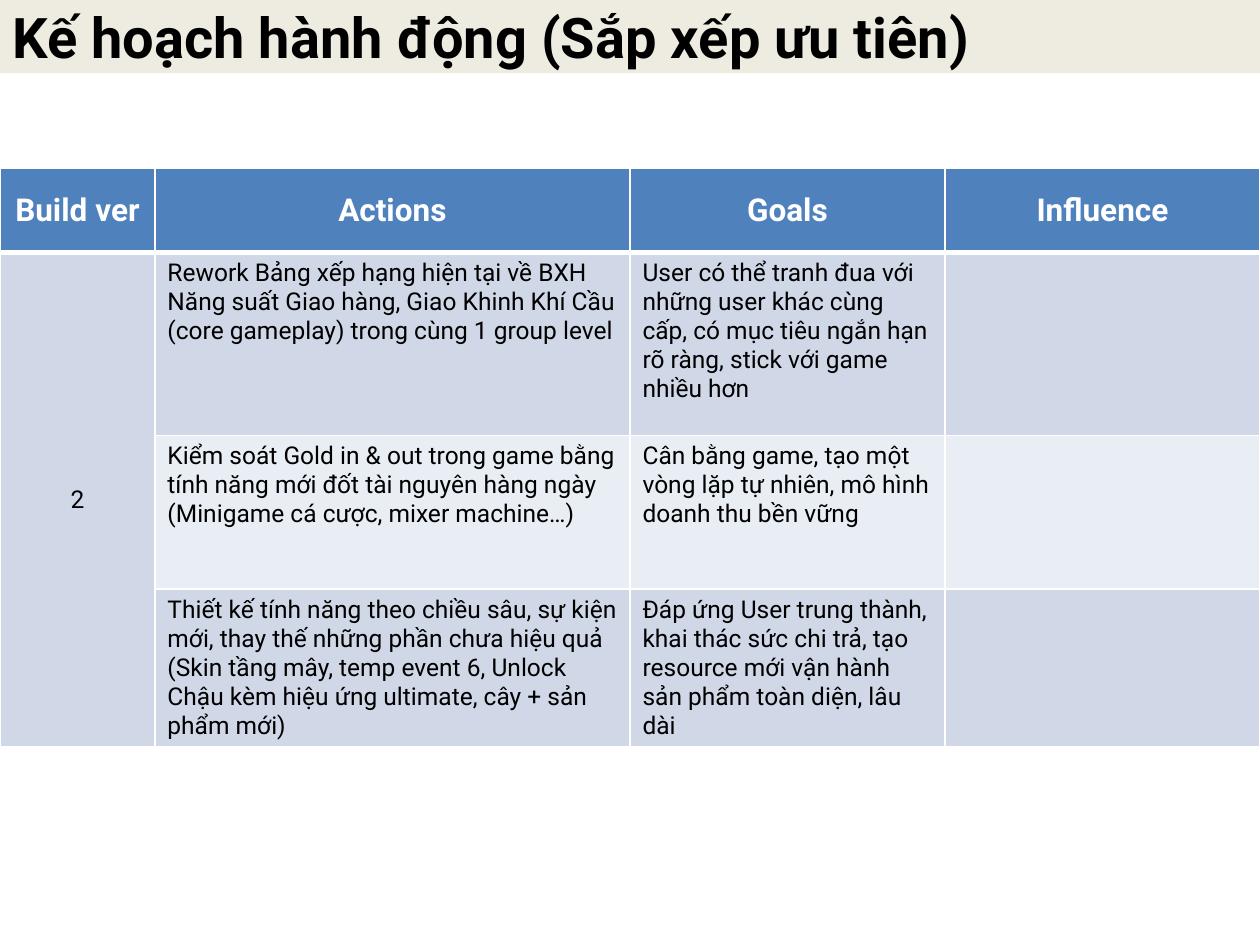
from dataclasses import dataclass

from lxml.etree import SubElement
from pptx import Presentation
from pptx.dml.color import RGBColor
from pptx.enum.shapes import MSO_SHAPE
from pptx.enum.text import MSO_ANCHOR, PP_ALIGN
from pptx.oxml.ns import qn
from pptx.util import Pt


@dataclass(frozen=True)
class Theme:
    font: str = "Roboto"
    ink: str = "000000"
    paper: str = "FFFFFF"
    title_band: str = "EEECE1"
    header: str = "4F81BD"
    bands: tuple = ("D0D8E8", "E9EDF4")
    title_size: int = 32
    header_size: int = 18
    body_size: int = 14
    rule: int = 1
    header_rule: int = 3


class SlideBuilder:
    def __init__(self, slide, theme):
        self.slide = slide
        self.theme = theme

    def set_text(self, frame, text, size, color, bold=False, align=PP_ALIGN.LEFT):
        frame.text = text
        frame.word_wrap = True
        for paragraph in frame.paragraphs:
            paragraph.alignment = align
            for run in paragraph.runs:
                run.font.name = self.theme.font
                run.font.size = Pt(size)
                run.font.bold = bold
                run.font.color.rgb = RGBColor.from_string(color)

    def title(self, text, width, height):
        band = self.slide.shapes.add_shape(MSO_SHAPE.RECTANGLE, 0, 0, Pt(width), Pt(height))
        band.shadow.inherit = False
        band.fill.solid()
        band.fill.fore_color.rgb = RGBColor.from_string(self.theme.title_band)
        band.line.fill.background()
        band.text_frame.vertical_anchor = MSO_ANCHOR.MIDDLE
        self.set_text(band.text_frame, text, self.theme.title_size, self.theme.ink, bold=True)

    def paint(self, cell, color, top, bottom):
        rules = {"L": self.theme.rule, "R": self.theme.rule, "T": top, "B": bottom}
        properties = cell._tc.get_or_add_tcPr()
        for side, weight in rules.items():
            line = SubElement(properties, qn(f"a:ln{side}"), w=str(Pt(weight)))
            SubElement(SubElement(line, qn("a:solidFill")), qn("a:srgbClr"), val=self.theme.paper)
        cell.fill.solid()
        cell.fill.fore_color.rgb = RGBColor.from_string(color)

    def table(self, headings, version, actions, top, widths, heights):
        theme = self.theme
        plan = self.slide.shapes.add_table(
            len(heights), len(widths), 0, Pt(top), Pt(sum(widths)), Pt(sum(heights))
        ).table
        for column, width in zip(plan.columns, widths):
            column.width = Pt(width)
        for row, height in zip(plan.rows, heights):
            row.height = Pt(height)

        for heading, cell in zip(headings, plan.rows[0].cells):
            self.paint(cell, theme.header, theme.rule, theme.header_rule)
            cell.vertical_anchor = MSO_ANCHOR.MIDDLE
            self.set_text(cell.text_frame, heading, theme.header_size, theme.paper, True, PP_ALIGN.CENTER)

        for index, texts in enumerate(actions):
            upper_rule = theme.rule if index else theme.header_rule
            for column, cell in enumerate(plan.rows[index + 1].cells):
                band = theme.bands[index % 2 if column else 0]
                self.paint(cell, band, upper_rule, theme.rule)
                if column:
                    self.set_text(cell.text_frame, texts[column - 1], theme.body_size, theme.ink)

        build = plan.cell(1, 0)
        build.merge(plan.cell(len(actions), 0))
        build.vertical_anchor = MSO_ANCHOR.MIDDLE
        self.set_text(build.text_frame, version, theme.body_size, theme.ink, align=PP_ALIGN.CENTER)


HEADINGS = ("Build ver", "Actions", "Goals", "Influence")
ACTIONS = (
    (
        "Rework Bảng xếp hạng hiện tại về BXH Năng suất Giao hàng, Giao Khinh Khí Cầu "
        "(core gameplay) trong cùng 1 group level",
        "User có thể tranh đua với những user khác cùng cấp, có mục tiêu ngắn hạn rõ ràng, "
        "stick với game nhiều hơn",
        "",
    ),
    (
        "Kiểm soát Gold in & out trong game bằng tính năng mới đốt tài nguyên hàng ngày "
        "(Minigame cá cược, mixer machine…)",
        "Cân bằng game, tạo một vòng lặp tự nhiên, mô hình doanh thu bền vững",
        "",
    ),
    (
        "Thiết kế tính năng theo chiều sâu, sự kiện mới, thay thế những phần chưa hiệu quả "
        "(Skin tầng mây, temp event 6, Unlock Chậu kèm hiệu ứng ultimate, cây + sản phẩm mới)",
        "Đáp ứng User trung thành, khai thác sức chi trả, tạo resource mới vận hành "
        "sản phẩm toàn diện, lâu dài",
        "",
    ),
)


def main():
    """Build the prioritised action plan slide."""
    deck = Presentation()
    deck.slide_width, deck.slide_height = Pt(720), Pt(540)
    builder = SlideBuilder(deck.slides.add_slide(deck.slide_layouts[6]), Theme())
    builder.title("Kế hoạch hành động (Sắp xếp ưu tiên)", 720, 41.8)
    builder.table(
        HEADINGS, "2", ACTIONS, top=96,
        widths=(88.5, 271.5, 180, 180), heights=(48.4, 104.4, 87.8, 90),
    )
    deck.save("out.pptx")


if __name__ == "__main__":
    main()
